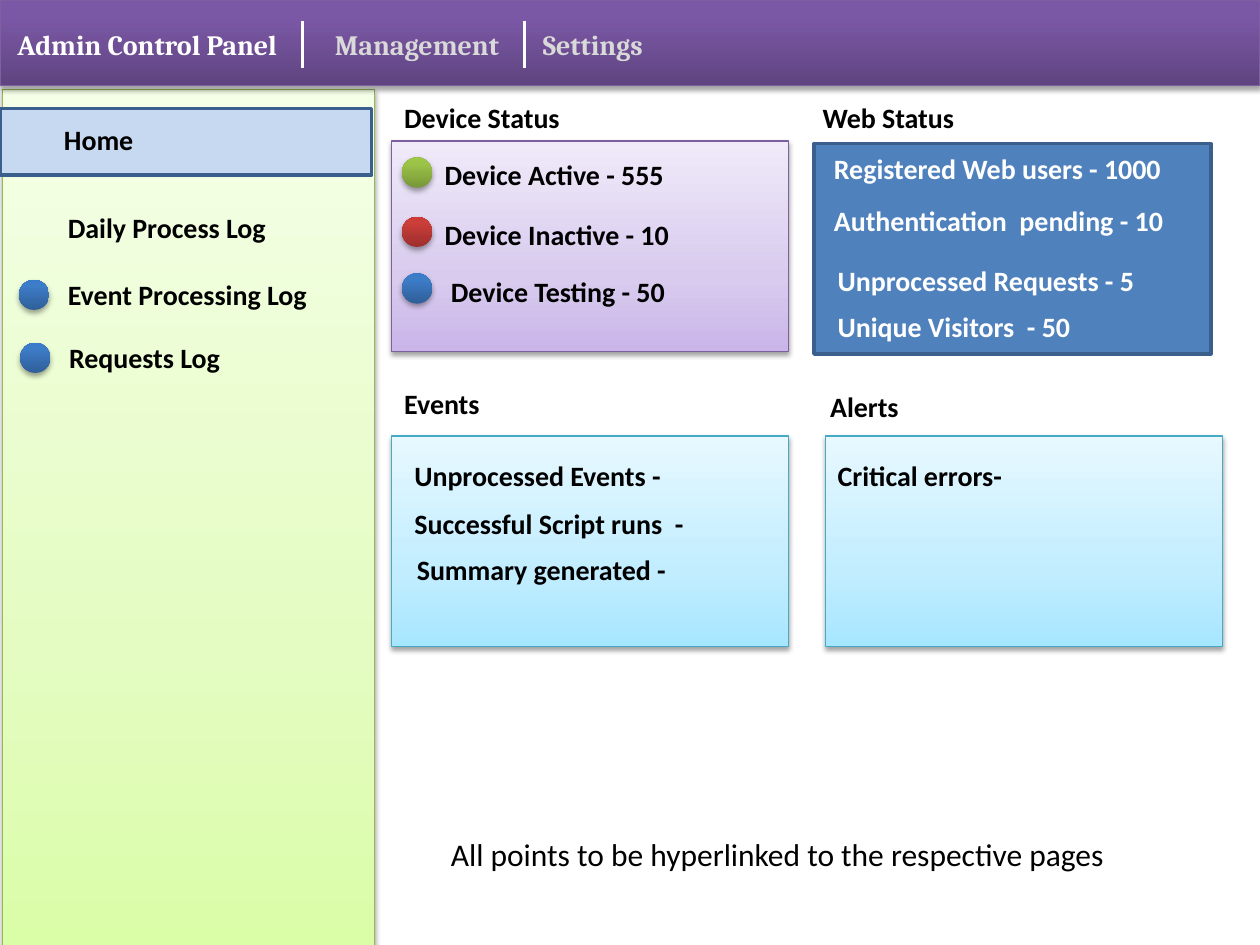
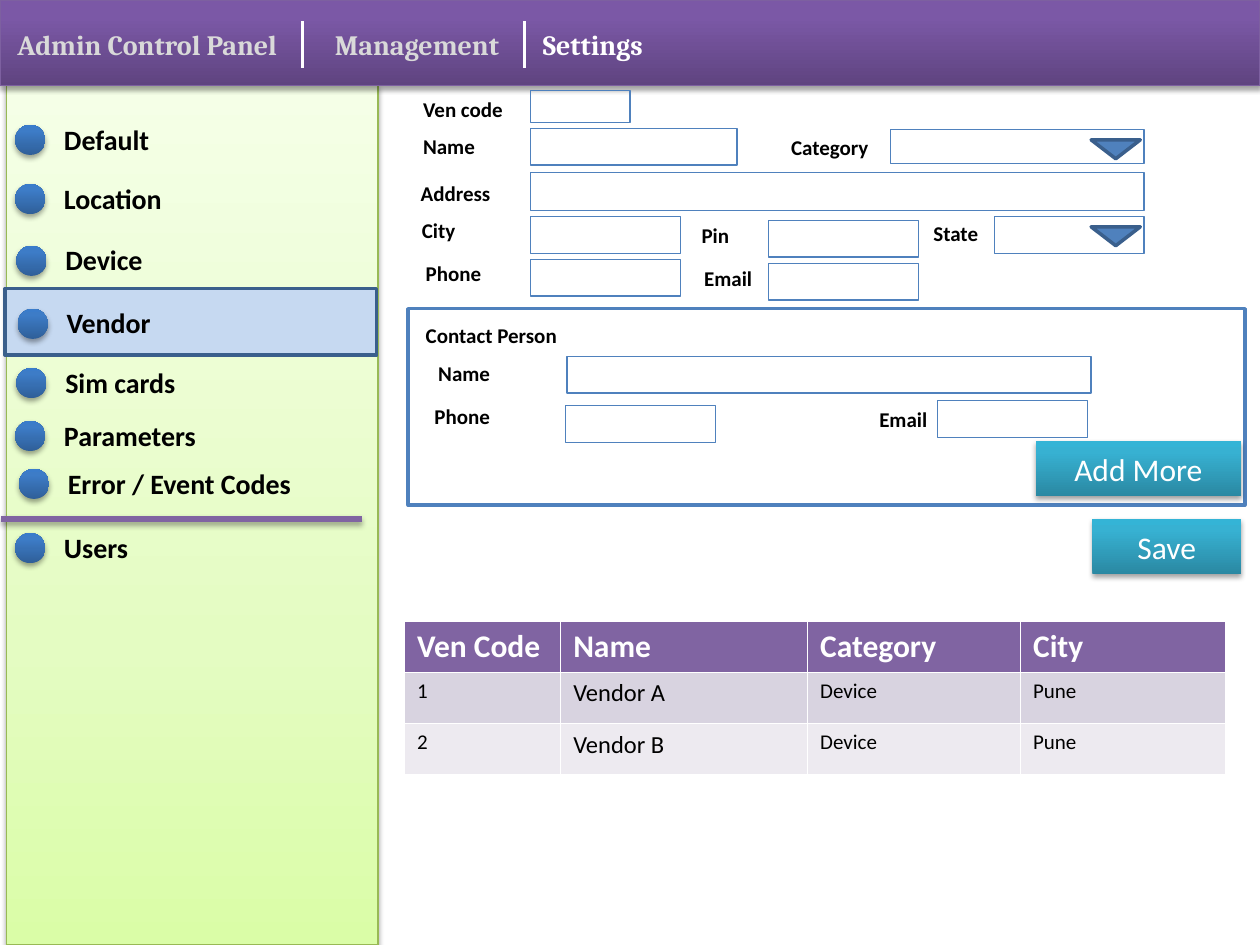
from copy import deepcopy
from dataclasses import dataclass

from lxml.etree import SubElement
from pptx import Presentation
from pptx.dml.color import RGBColor
from pptx.enum.shapes import MSO_CONNECTOR, MSO_SHAPE
from pptx.enum.text import MSO_ANCHOR, MSO_AUTO_SIZE, PP_ALIGN
from pptx.oxml.ns import qn
from pptx.util import Inches, Pt


@dataclass(frozen=True)
class Theme:
    """Colours, gradients (bottom, middle, top), fonts and type sizes."""
    white: str = "FFFFFF"
    black: str = "000000"
    muted: str = "D9D9D9"
    blue: str = "4F81BD"
    navy: str = "3A5F8C"
    selected: str = "C6D9F1"
    purple: str = "8064A2"
    violet: str = "7D60A0"
    olive: str = "98B955"
    teal: str = "46AAC5"
    rows: tuple = ("D8D3E0", "EDEAF0")
    band: tuple = ((0, "5F4480"), (0.8, "7B58A6"), (1, "7C57A8"))
    lime: tuple = ((0, "DAFDA7"), (0.35, "E4FCC2"), (1, "F5FFE7"))
    lilac: tuple = ((0, "C9B5E8"), (0.35, "D8CBEE"), (1, "F0EAF9"))
    sky: tuple = ((0, "A7E6FF"), (0.35, "C1EDFF"), (1, "E7F8FF"))
    button: tuple = ((0, "2A88A2"), (0.8, "37B1D2"), (1, "34B4D6"))
    blue_dot: tuple = ((0, "2F5F99"), (0.8, "3D7CC7"), (1, "3A7CCB"))
    green_dot: tuple = ((0, "779737"), (0.8, "9BC348"), (1, "9DC746"))
    red_dot: tuple = ((0, "9C2F2D"), (0.8, "CB3E3A"), (1, "CE3B37"))
    body_font: str = "Calibri"
    tab_font: str = "Cambria"
    large: int = 18
    medium: int = 16
    cell: int = 14
    small: int = 12


theme = Theme()
COLUMNS, ROWS = 100, 75
CELL = Inches(0.1)
DOT = 2.4
LINE_HEIGHT = 3.7


def draw(slide, kind, area, fill=None, line=None, width=0.75, shadow=False):
    """Draw a shape, or a connector if kind is None, on the grid."""
    left, top, wide, high = [round(value * CELL) for value in area]
    if kind is None:
        shape = slide.shapes.add_connector(
            MSO_CONNECTOR.STRAIGHT, left, top, left + wide, top + high)
    else:
        shape = slide.shapes.add_shape(kind, left, top, wide, high)
        if fill is None:
            shape.fill.background()
        elif isinstance(fill, str):
            shape.fill.solid()
            shape.fill.fore_color.rgb = RGBColor.from_string(fill)
        else:
            shape.fill.gradient()
            shape.fill.gradient_angle = 90
            stops = shape._element.spPr.find(".//" + qn("a:gsLst"))
            stops.insert(1, deepcopy(stops[0]))
            for stop, (position, color) in zip(shape.fill.gradient_stops, fill):
                stop.position = position
                stop.color.rgb = RGBColor.from_string(color)
    if line:
        shape.line.color.rgb = RGBColor.from_string(line)
        shape.line.width = Pt(width)
    else:
        shape.line.fill.background()
    effects = SubElement(shape._element.spPr, qn("a:effectLst"))
    if shadow:
        outer = SubElement(effects, qn("a:outerShdw"), blurRad=str(Pt(3.1)),
                           dist=str(Pt(1.7)), dir="5400000", rotWithShape="0")
        color = SubElement(outer, qn("a:srgbClr"), val=theme.black)
        SubElement(color, qn("a:alpha"), val="36000")
    return shape


def write(slide, text, left, top, width=24.4, height=LINE_HEIGHT,
          size=theme.medium, color=theme.black, font=theme.body_font,
          bold=True, wrap=True):
    """Write one line of text in a box placed on the grid."""
    area = [round(value * CELL) for value in (left, top, width, height)]
    frame = slide.shapes.add_textbox(*area).text_frame
    frame.word_wrap = wrap
    frame.auto_size = MSO_AUTO_SIZE.SHAPE_TO_FIT_TEXT
    paragraph = frame.paragraphs[0]
    paragraph.text = text
    paragraph.font.name = font
    paragraph.font.size = Pt(size)
    paragraph.font.bold = bold
    paragraph.font.color.rgb = RGBColor.from_string(color)


presentation = Presentation()
presentation.slide_width = COLUMNS * CELL
presentation.slide_height = ROWS * CELL

# Shared frame: sidebar, selected entry, header band, tabs and menu
tabs = [("Admin Control Panel", 0.4, 25.2), ("Management", 25.6, 15.7),
        ("Settings", 42.1, 15.7)]
# Page: active tab, sidebar corner, selection corner, menu
# Menu entry: text, left, top, has a dot
pages = [
    ("Admin Control Panel", (0.2, 7.1), (0, 8.6), [
        ("Home", 4.1, 9.2, False),
        ("Daily Process Log", 4.4, 16.2, False),
        ("Event Processing Log", 4.4, 21.5, True),
        ("Requests Log", 4.5, 26.5, True)]),
    ("Settings", (0.5, 6.8), (0.4, 22.9), [
        ("Default", 4.1, 9.2, True),
        ("Location", 4.1, 13.9, True),
        ("Device", 4.2, 18.8, True),
        ("Vendor", 4.3, 23.8, True),
        ("Sim cards", 4.2, 28.5, True),
        ("Parameters", 4.1, 32.7, True),
        ("Error / Event Codes", 4.4, 36.5, True),
        ("Users", 4.1, 41.6, True)]),
]
slides = []
for active_tab, sidebar, selection, menu in pages:
    slide = presentation.slides.add_slide(presentation.slide_layouts[6])
    slides.append(slide)
    draw(slide, MSO_SHAPE.RECTANGLE, (*sidebar, 29.5, 68.2),
         theme.lime, theme.olive, shadow=True)
    draw(slide, MSO_SHAPE.RECTANGLE, (*selection, 29.5, 5.3),
         theme.selected, theme.navy, 2)
    draw(slide, MSO_SHAPE.RECTANGLE, (0, 0, COLUMNS, 6.8),
         theme.band, theme.violet, shadow=True)
    for text, left, width in tabs:
        write(slide, text, left, 1.7, width, font=theme.tab_font,
              color=theme.white if text == active_tab else theme.muted)
    for left in (24, 41.6):
        draw(slide, None, (left, 1.7, 0, LINE_HEIGHT), line=theme.white, width=1.75)
    for text, left, top, has_dot in menu:
        if has_dot:
            draw(slide, MSO_SHAPE.OVAL, (left - 2.9, top + 0.7, DOT, DOT),
                 theme.blue_dot, shadow=True)
        write(slide, text, left, top)
dashboard, vendor_page = slides

# Dashboard cards: heading and its corner, card corner, fill, line, lines of text
cards = [
    ("Device Status", 31.1, 7.5, (31.1, 11.2), theme.lilac, theme.violet, [
        ("Device Active - 555", 34.3, 12),
        ("Device Inactive - 10", 34.3, 16.8),
        ("Device Testing - 50", 34.8, 21.3)]),
    ("Web Status", 64.3, 7.5, (64.6, 11.4), theme.blue, theme.navy, [
        ("Registered Web users - 1000", 65.2, 11.5),
        ("Authentication  pending - 10", 65.2, 15.7),
        ("Unprocessed Requests - 5", 65.5, 20.4),
        ("Unique Visitors  - 50", 65.5, 24.1)]),
    ("Events", 31.1, 30.2, (31.1, 34.6), theme.sky, theme.teal, [
        ("Unprocessed Events -", 31.9, 35.9),
        ("Successful Script runs  -", 31.9, 39.7),
        ("Summary generated -", 32.1, 43.4)]),
    ("Alerts", 64.9, 30.4, (65.5, 34.6), theme.sky, theme.teal, [
        ("Critical errors-", 65.5, 35.9)]),
]
for heading, left, top, corner, fill, line, entries in cards:
    write(dashboard, heading, left, top)
    is_flat = fill == theme.blue
    draw(dashboard, MSO_SHAPE.RECTANGLE, (*corner, 31.5, 16.7), fill, line,
         2 if is_flat else 0.75, shadow=not is_flat)
    for text, left, top in entries:
        write(dashboard, text, left, top, 28.9,
              color=theme.white if is_flat else theme.black)
status_dots = [(12.5, theme.green_dot), (17.2, theme.red_dot), (21.7, theme.blue_dot)]
for top, fill in status_dots:
    draw(dashboard, MSO_SHAPE.OVAL, (31.9, top, DOT, DOT), fill, shadow=True)
write(dashboard, "All points to be hyperlinked to the respective pages",
      34.8, 65.8, 54.5, 4, theme.large, bold=False, wrap=False)

# Vendor form: label, its left, top and width, then the input's area
draw(vendor_page, None, (0.1, 41.2, 28.6, 0), line=theme.purple, width=3, shadow=True)
draw(vendor_page, MSO_SHAPE.RECTANGLE, (32.4, 24.5, 66.4, 15.6),
     theme.white, theme.blue, 2)
write(vendor_page, "Contact Person", 32.8, 25.1, 17.2, 3, theme.small)
fields = [
    ("Ven code", 32.6, 7.2, 8.8, (42.1, 7.2, 7.9, 2.5)),
    ("Name", 32.6, 10.1, 15, (42.1, 10.2, 16.4, 2.9)),
    ("Category", 61.8, 10.2, 14.2, (70.7, 10.3, 20.1, 2.7)),
    ("Address", 32.4, 13.8, 15, (42.1, 13.7, 48.7, 3)),
    ("City", 32.5, 16.8, 9.4, (42.1, 17.2, 11.9, 2.9)),
    ("Pin", 54.7, 17.2, 4.7, (61, 17.5, 11.9, 2.9)),
    ("State", 73.1, 17, 9.4, (78.9, 17.2, 11.9, 2.9)),
    ("Phone", 32.8, 20.2, 9.4, (42.1, 20.6, 11.9, 2.9)),
    ("Email", 54.9, 20.6, 6.2, (61, 20.9, 11.9, 2.9)),
    ("Name", 33.8, 28.1, 15, (45, 28.3, 41.6, 2.9)),
    ("Phone", 33.5, 31.5, 9.4, (44.9, 32.2, 11.9, 2.9)),
    ("Email", 68.8, 31.8, 6.2, (74.4, 31.8, 11.9, 2.9)),
]
for text, left, top, width, area in fields:
    draw(vendor_page, MSO_SHAPE.RECTANGLE, area, line=theme.blue)
    write(vendor_page, text, left, top, width, 3, theme.small)
for top in (11.1, 18):
    arrow = draw(vendor_page, MSO_SHAPE.ISOSCELES_TRIANGLE, (86.6, top, 3.9, 1.5),
                 theme.blue, theme.navy, 2)
    arrow.rotation = 180

buttons = [("Add More", (82.2, 35, 16.3, 4.4)), ("Save", (86.7, 41.2, 11.8, 4.4))]
for text, area in buttons:
    button = draw(vendor_page, MSO_SHAPE.RECTANGLE, area, theme.button, shadow=True)
    button.text_frame.vertical_anchor = MSO_ANCHOR.MIDDLE
    paragraph = button.text_frame.paragraphs[0]
    paragraph.text = text
    paragraph.alignment = PP_ALIGN.CENTER
    paragraph.font.name = theme.body_font
    paragraph.font.size = Pt(theme.large)
    paragraph.font.color.rgb = RGBColor.from_string(theme.white)

# Vendor table
vendors = [("Ven Code", "Name", "Category", "City"),
           ("1", "Vendor A", "Device", "Pune"),
           ("2", "Vendor B", "Device", "Pune")]
column_widths = (12.4, 19.6, 16.9, 16.3)
row_height = 4.06
table_area = (32.1, 49.3, sum(column_widths), row_height * len(vendors))
table = vendor_page.shapes.add_table(
    len(vendors), len(column_widths),
    *[round(value * CELL) for value in table_area]).table
for column, width in zip(table.columns, column_widths):
    column.width = round(width * CELL)
for row_index, vendor in enumerate(vendors):
    is_header = row_index == 0
    row_fill = theme.purple if is_header else theme.rows[row_index - 1]
    for column_index, text in enumerate(vendor):
        cell = table.cell(row_index, column_index)
        cell.fill.solid()
        cell.fill.fore_color.rgb = RGBColor.from_string(row_fill)
        paragraph = cell.text_frame.paragraphs[0]
        paragraph.text = text
        body_size = theme.cell if column_index == 1 else theme.small
        paragraph.font.name = theme.body_font
        paragraph.font.size = Pt(theme.large if is_header else body_size)
        paragraph.font.bold = is_header
        paragraph.font.color.rgb = RGBColor.from_string(
            theme.white if is_header else theme.black)

presentation.save("out.pptx")
